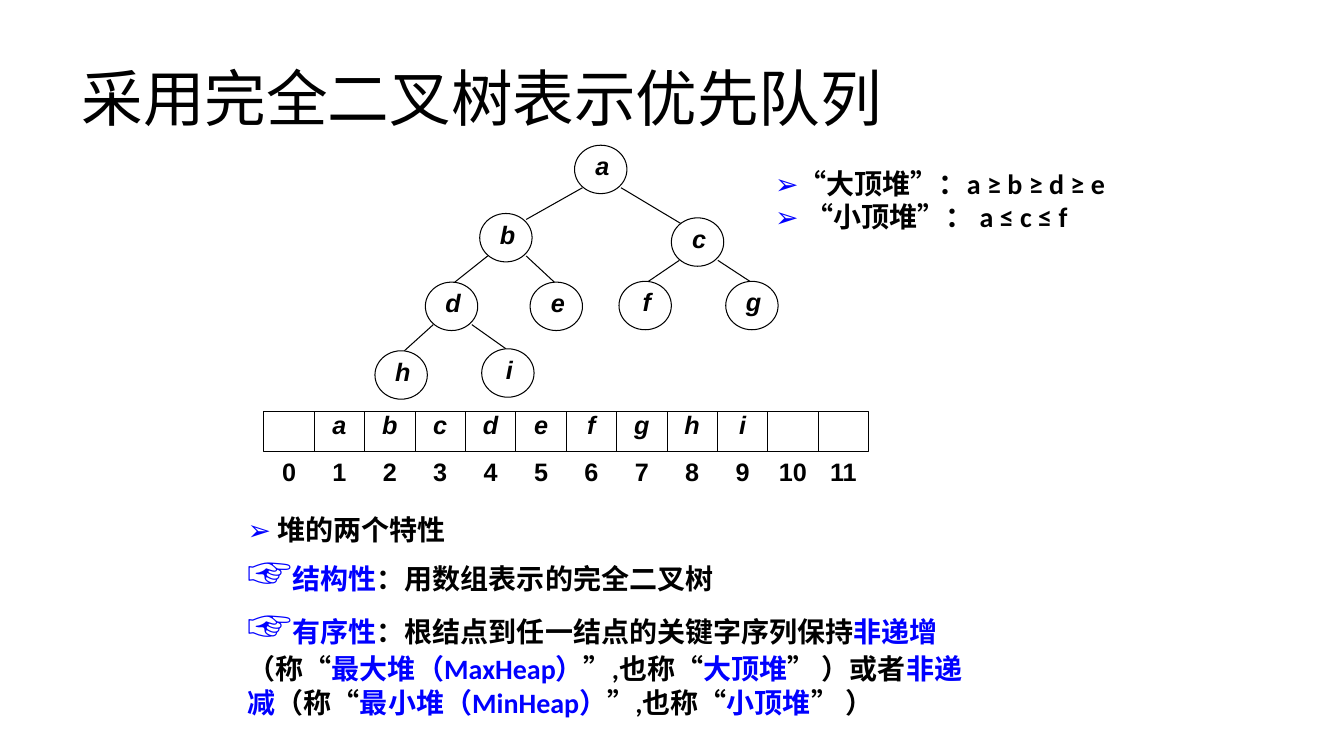
from lxml.etree import SubElement
from pptx import Presentation
from pptx.dml.color import RGBColor
from pptx.enum.lang import MSO_LANGUAGE_ID as Language
from pptx.enum.shapes import MSO_CONNECTOR as Connector, MSO_SHAPE as Shape
from pptx.enum.text import MSO_ANCHOR as Anchor, MSO_AUTO_SIZE as AutoSize, PP_ALIGN as Align
from pptx.oxml.ns import qn
from pptx.util import Cm, Pt

BLACK = RGBColor(0, 0, 0)
WHITE = RGBColor(255, 255, 255)
BLUE = RGBColor(0, 0, 255)

# Top left corner of each tree node, in centimetres
NODES = {
    "a": (14.48, 3.66), "b": (12.09, 5.38), "c": (16.92, 5.49),
    "d": (10.72, 7.11), "e": (13.36, 7.11), "f": (15.6, 7.09),
    "g": (18.29, 7.09), "h": (9.45, 8.84), "i": (12.14, 8.79),
}
NODE_SIZE = (1.32, 1.22)
CELL_COUNT, CELL_WIDTH, CELL_HEIGHT = 12, 1.27, 1.02
ARRAY_LEFT, ARRAY_TOP = 6.65, 10.36
ARRAY_WIDTH = CELL_COUNT * CELL_WIDTH

ORDERS = [
    [("➢", BLUE), ("“大顶堆”：a ≥ b ≥ d ≥ e", BLACK)],
    [("➢", BLUE), (" “小顶堆”： a ≤ c ≤ f", BLACK)],
]
HEADING = [[("➢ ", BLUE), ("堆的两个特性", BLACK)]]
PROPERTIES = [
    [("☞", BLUE, 32), ("结构性", BLUE), ("：用数组表示的完全二叉树", BLACK)],
    [("☞", BLUE, 32), ("有序性", BLUE),
     ("：根结点到任一结点的关键字序列保持", BLACK), ("非递增", BLUE),
     ("（称“", BLACK), ("最大堆（MaxHeap）", BLUE),
     ("”,也称“", BLACK), ("大顶堆", BLUE), ("” ）或者", BLACK),
     ("非递减", BLUE), ("（称“", BLACK), ("最小堆（MinHeap）", BLUE),
     ("”,也称“", BLACK), ("小顶堆", BLUE), ("” ）", BLACK)],
]


class HeapSlide:
    """Hold the style and the current slide."""

    label_font, text_font = "Arial", "Calibri"
    label_size, text_size = 18, 20
    line_width = Pt(0.75)

    def __init__(self, deck):
        """Add a slide with a title and two body placeholders."""
        self.page = deck.slides.add_slide(deck.slide_layouts[3])
        self.shapes = self.page.shapes

    def place(self, box, left, top, width, height):
        """Move and size a box."""
        box.left, box.top = Cm(left), Cm(top)
        box.width, box.height = Cm(width), Cm(height)

    def style(self, span, font, size, color, bold=True, italic=False):
        """Format one run."""
        span.font.name, span.font.size = font, Pt(size)
        span.font.bold, span.font.italic = bold, italic
        span.font.color.rgb = color
        span.font.language_id = Language.SIMPLIFIED_CHINESE

    def title(self, text, *area):
        """Fill the title placeholder."""
        box = self.shapes.title
        self.place(box, *area)
        frame = box.text_frame
        frame.text = text
        frame.vertical_anchor = Anchor.MIDDLE
        para = frame.paragraphs[0]
        para.alignment, para.line_spacing = Align.LEFT, 0.9
        self.style(para.runs[0], self.label_font, 44, BLACK, bold=False)

    def rich_text(self, box, lines, *area, wrap=True):
        """Fill a box with paragraphs of coloured runs."""
        self.place(box, *area)
        frame = box.text_frame
        frame.word_wrap, frame.auto_size = wrap, AutoSize.NONE
        frame.vertical_anchor = Anchor.TOP
        for index, parts in enumerate(lines):
            para = frame.add_paragraph() if index else frame.paragraphs[0]
            para.alignment, para.space_before = Align.LEFT, Pt(0)
            props = para._p.get_or_add_pPr()
            props.set("marL", "0")
            props.set("indent", "0")
            SubElement(props, qn("a:buNone"))
            for text, color, *size in parts:
                span = para.add_run()
                span.text = text
                self.style(span, self.text_font, size[0] if size else self.text_size, color)

    def outline(self, kind, left, top, width, height, lined=True):
        """Add a white shape, with a thin black line if wanted."""
        box = self.shapes.add_shape(kind, Cm(left), Cm(top), Cm(width), Cm(height))
        box.shadow.inherit = False
        box.fill.solid()
        box.fill.fore_color.rgb = WHITE
        if lined:
            box.line.color.rgb, box.line.width = BLACK, self.line_width
        else:
            box.line.fill.background()
        return box

    def label(self, box, text, align=Align.LEFT, spacing=0.96, italic=True):
        """Write one line of bold text at the top of a box."""
        frame = box.text_frame
        frame.margin_left = frame.margin_right = Cm(0)
        frame.margin_top = frame.margin_bottom = Cm(0)
        frame.vertical_anchor, frame.word_wrap = Anchor.TOP, True
        frame.text = text
        para = frame.paragraphs[0]
        para.alignment, para.line_spacing = align, spacing
        self.style(para.runs[0], self.label_font, self.label_size, BLACK, italic=italic)
        return para

    def line(self, x1, y1, x2, y2):
        """Draw a thin black line."""
        line = self.shapes.add_connector(Connector.STRAIGHT, Cm(x1), Cm(y1), Cm(x2), Cm(y2))
        line.line.color.rgb, line.line.width = BLACK, self.line_width
        SubElement(line._element.spPr, qn("a:effectLst"))

    def node(self, name, left, top):
        """Draw a tree node with its letter."""
        self.outline(Shape.OVAL, left, top, *NODE_SIZE)
        plate = self.outline(Shape.RECTANGLE, left + 0.38, top + 0.38, 0.64, 0.51, lined=False)
        self.label(plate, name, Align.CENTER, 0.64)

    def edge(self, parent, child, is_right):
        """Join a parent node to its left or right child."""
        (x1, y1), (x2, y2) = NODES[parent], NODES[child]
        if parent == "a":
            end_x, end_y = (0.25 if is_right else 1.17), 0.15
        else:
            end_x, end_y = (0.61 if is_right else 0.74), 0
        start_x = 1.17 if is_right else 0.2
        self.line(x1 + start_x, y1 + 1.07, x2 + end_x, y2 + end_y)

    def cell_row(self, entries, top, height, lined, italic):
        """Draw a row whose entries are centred on the array cells."""
        box = self.outline(Shape.RECTANGLE, ARRAY_LEFT, top, ARRAY_WIDTH, height, lined)
        para = self.label(box, "".join("\t" + entry for entry in entries), italic=italic)
        stops = SubElement(para._p.get_or_add_pPr(), qn("a:tabLst"))
        for index, entry in enumerate(entries):
            if entry:
                position = Cm((index + 0.5) * CELL_WIDTH)
                SubElement(stops, qn("a:tab"), pos=str(int(position)), algn="ctr")


def build():
    """Build the slide and save the deck."""
    deck = Presentation()
    deck.slide_width, deck.slide_height = Cm(33.87), Cm(19.05)
    slide = HeapSlide(deck)
    slide.title("采用完全二叉树表示优先队列", 1.8, 0.71, 29.21, 3.68)

    names = list(NODES)
    for index, child in enumerate(names[1:], start=1):
        slide.edge(names[(index - 1) // 2], child, index % 2 == 0)
    for name, corner in NODES.items():
        slide.node(name, *corner)

    # Cell 0 stays empty, so the letters start at the second tab stop
    slide.cell_row([""] + names, ARRAY_TOP, CELL_HEIGHT, lined=True, italic=True)
    # An empty entry sets no stop, so its tab is dropped as well
    array_span = slide.shapes[-1].text_frame.paragraphs[0].runs[0]
    array_span.text = array_span.text[1:]
    for index in range(1, CELL_COUNT):
        x = ARRAY_LEFT + index * CELL_WIDTH
        slide.line(x, ARRAY_TOP + CELL_HEIGHT, x, ARRAY_TOP)
    slide.cell_row([str(index) for index in range(CELL_COUNT)], 11.56, 0.84,
                   lined=False, italic=False)

    heading = slide.shapes.add_textbox(0, 0, 0, 0)
    slide.rich_text(heading, HEADING, 5.99, 12.8, 5.57, 1.12, wrap=False)
    properties, orders = list(slide.page.placeholders)[1:3]
    slide.rich_text(properties, PROPERTIES, 5.99, 13.59, 19.05, 4.7)
    slide.rich_text(orders, ORDERS, 19.28, 4.06, 9.53, 1.96)
    deck.save("out.pptx")


build()
